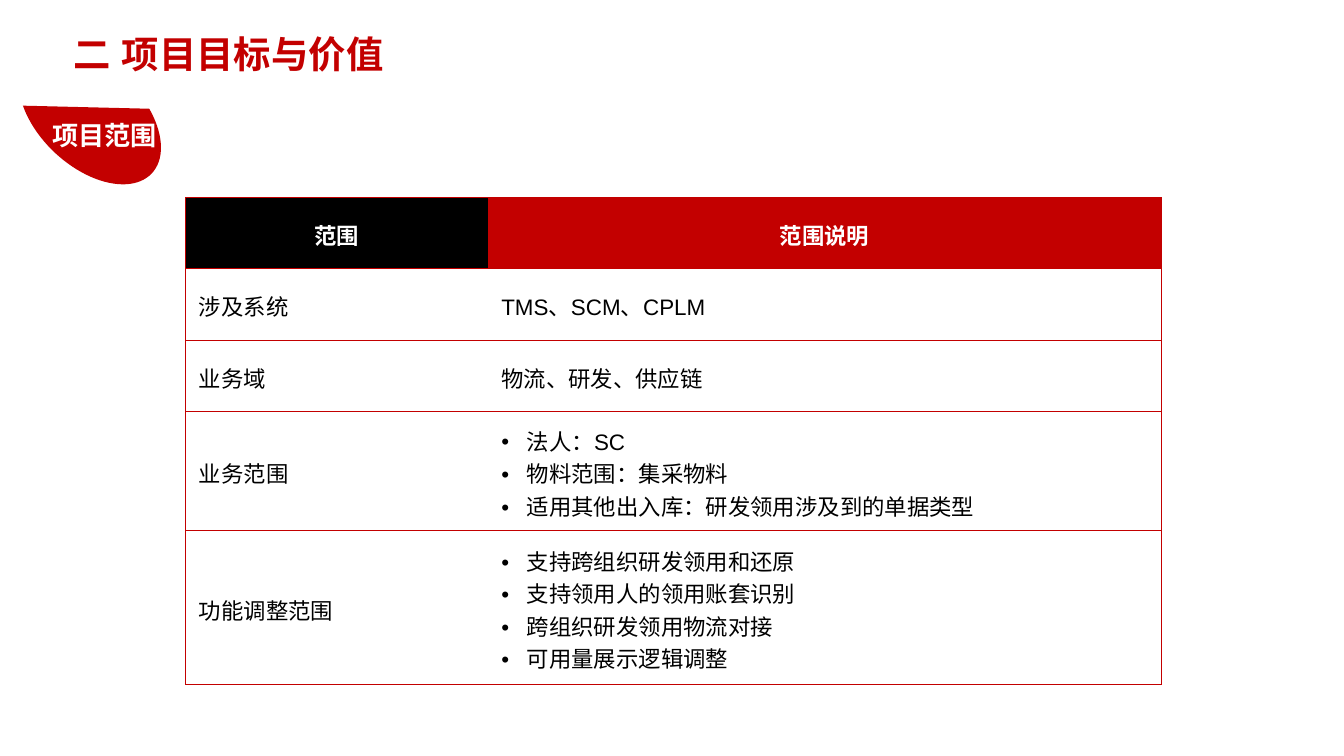
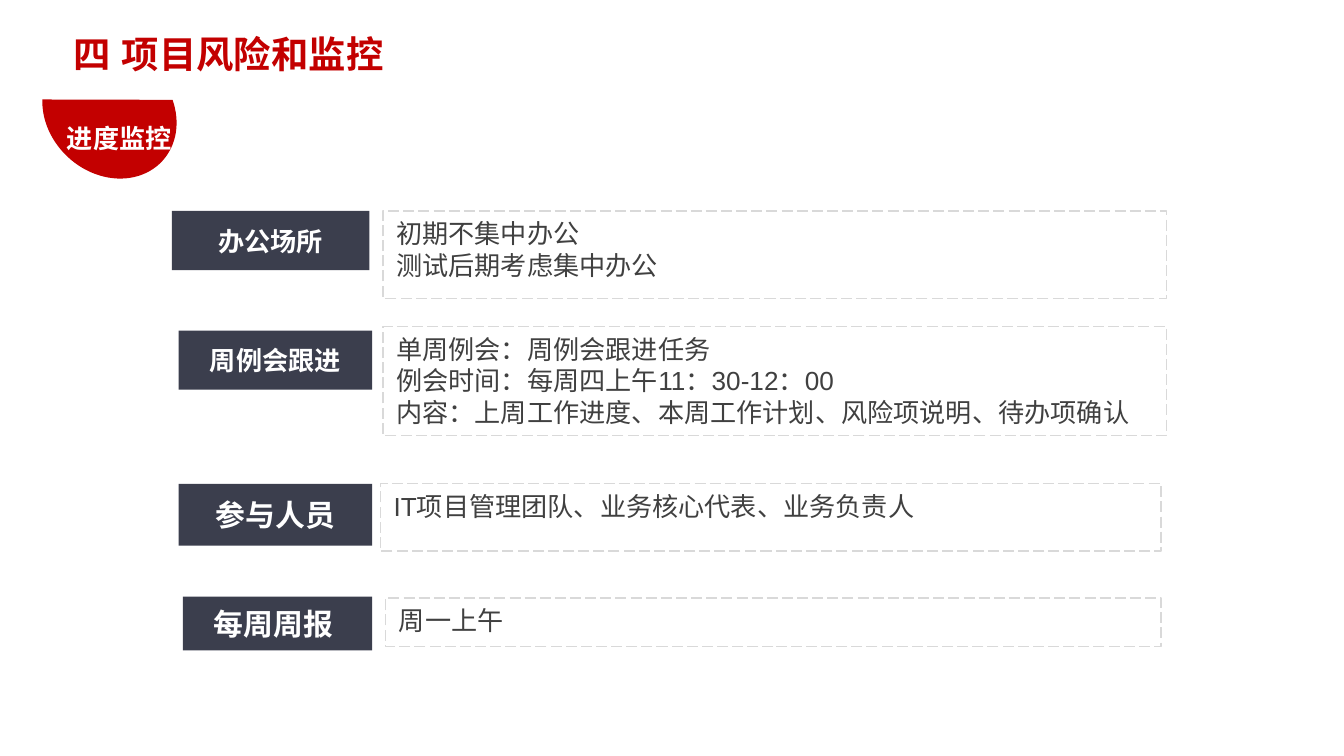
"""Build two project slides: scope table and progress monitoring."""
import pptx
import pptx.util
import pptx.dml.color
import pptx.enum.dml
import pptx.enum.shapes
import pptx.enum.text
import pptx.oxml.ns
from lxml import etree

Inches, Pt = pptx.util.Inches, pptx.util.Pt
ALIGN, ANCHOR = pptx.enum.text.PP_ALIGN, pptx.enum.text.MSO_ANCHOR
SHAPE = pptx.enum.shapes.MSO_SHAPE
qn = pptx.oxml.ns.qn

FONT = "Arial"
C = dict(red="C30000", black="000000", white="FFFFFF", slate="3B3E4D",
         text="404040", dash="D9D9D9")

SCOPE = dict(
    title="二 项目目标与价值",
    badge=dict(text="项目范围", chord=(0.29, 0.23, 0.76, 1.26),
               angles=(24.26, 141.25), label=(0.29, 0.84, 1.12, 0.34)),
)
TABLE_BOX = (1.38, 1.47, 7.26, 3.61)
COL_WIDTHS = (2.25, 5.01)
ROW_HEIGHTS = (0.53, 0.53, 0.53, 0.89, 1.14)
ROWS = [
    ("范围", ["范围说明"]),
    ("涉及系统", ["TMS、SCM、CPLM"]),
    ("业务域", ["物流、研发、供应链"]),
    ("业务范围", ["法人：SC", "物料范围：集采物料", "适用其他出入库：研发领用涉及到的单据类型"]),
    ("功能调整范围", ["支持跨组织研发领用和还原", "支持领用人的领用账套识别",
                "跨组织研发领用物流对接", "可用量展示逻辑调整"]),
]

MONITOR = dict(
    title="四 项目风险和监控",
    badge=dict(text="进度监控", chord=(0.36, 0.3, 0.91, 1.07),
               angles=(21.54, 142.64), label=(0.4, 0.86, 1.24, 0.41)),
)
ITEMS = [
    ("办公场所", 14, (1.28, 1.57, 1.47, 0.44), (2.85, 1.57, 5.83, 0.65),
     ["初期不集中办公", "测试后期考虑集中办公"]),
    ("周例会跟进", 14, (1.33, 2.46, 1.44, 0.44), (2.85, 2.43, 5.83, 0.81),
     ["单周例会：周例会跟进任务", "例会时间：每周四上午11：30-12：00",
      "内容：上周工作进度、本周工作计划、风险项说明、待办项确认"]),
    ("参与人员", 16, (1.33, 3.6, 1.44, 0.46), (2.83, 3.6, 5.81, 0.5),
     ["IT项目管理团队、业务核心代表、业务负责人"]),
    ("每周周报 ", 16, (1.36, 4.44, 1.41, 0.4), (2.87, 4.45, 5.77, 0.36), ["周一上午"]),
]


def rgb(name):
    return pptx.dml.color.RGBColor.from_string(C[name])


def box(values):
    return [Inches(v) for v in values]


def write(tf, lines, size, color, bold=False, align=ALIGN.LEFT, anchor=ANCHOR.TOP):
    tf.text = "\n".join(lines)
    tf.word_wrap = True
    tf.vertical_anchor = anchor
    for p in tf.paragraphs:
        p.alignment = align
        for r in p.runs:
            r.font.name, r.font.size, r.font.bold = FONT, Pt(size), bold
            r.font.color.rgb = rgb(color)
            ea = etree.SubElement(r.font._element, qn("a:ea"))
            ea.set("typeface", FONT)


def add_shape(s, kind, at, fill=None):
    sp = s.shapes.add_shape(kind, *box(at))
    sp.shadow.inherit = False
    sp.line.fill.background()
    if fill:
        sp.fill.solid()
        sp.fill.fore_color.rgb = rgb(fill)
    else:
        sp.fill.background()
    return sp


def add_slide(prs, title, badge):
    s = prs.slides.add_slide(prs.slide_layouts[5])
    sp = s.shapes.title
    sp.left, sp.top, sp.width, sp.height = box((0.45, 0.18, 7.26, 0.59))
    write(sp.text_frame, [title], 20, "red", bold=True)
    sp.text_frame.auto_size = pptx.enum.text.MSO_AUTO_SIZE.NONE
    chord = add_shape(s, SHAPE.CHORD, badge["chord"], "red")
    chord.rotation = 313
    for i, angle in enumerate(badge["angles"]):
        chord.adjustments[i] = angle
    label = s.shapes.add_textbox(*box(badge["label"]))
    write(label.text_frame, [badge["text"]], 14, "white", bold=True)
    return s


def set_borders(cell, shown):
    tcPr = cell._tc.get_or_add_tcPr()
    for i, side in enumerate(("lnL", "lnR", "lnT", "lnB")):
        ln = etree.Element(qn("a:" + side), w=str(Pt(0.5)))
        if side in shown:
            fill = etree.SubElement(ln, qn("a:solidFill"))
            etree.SubElement(fill, qn("a:srgbClr"), val=C["red"])
        else:
            etree.SubElement(ln, qn("a:noFill"))
        tcPr.insert(i, ln)


def add_bullet(p):
    pPr = p._p.get_or_add_pPr()
    pPr.set("marL", str(Inches(0.19)))
    pPr.set("indent", str(-Inches(0.19)))
    etree.SubElement(pPr, qn("a:buFont"), typeface=FONT)
    etree.SubElement(pPr, qn("a:buChar"), char="•")


def add_scope_table(s):
    table = s.shapes.add_table(len(ROWS), len(COL_WIDTHS), *box(TABLE_BOX)).table
    for col, width in zip(table.columns, COL_WIDTHS):
        col.width = Inches(width)
    for row, height in zip(table.rows, ROW_HEIGHTS):
        row.height = Inches(height)
    for i, (name, notes) in enumerate(ROWS):
        header = i == 0
        for j, lines in enumerate(([name], notes)):
            cell = table.cell(i, j)
            write(cell.text_frame, lines, 12, "white" if header else "black", header,
                  ALIGN.CENTER if header else ALIGN.LEFT)
            cell.vertical_anchor = ANCHOR.MIDDLE
            cell.fill.solid()
            cell.fill.fore_color.rgb = rgb(("black", "red")[j] if header else "white")
            set_borders(cell, ("lnT", "lnB", ("lnL", "lnR")[j]))
            for p in cell.text_frame.paragraphs:
                p.line_spacing = 1.3
                if len(lines) > 1:
                    add_bullet(p)


def add_item(s, name, size, name_at, note_at, lines):
    sp = add_shape(s, SHAPE.RECTANGLE, name_at, "slate")
    write(sp.text_frame, [name], size, "white", True, ALIGN.CENTER, ANCHOR.MIDDLE)
    sp = add_shape(s, SHAPE.RECTANGLE, note_at)
    sp.line.color.rgb = rgb("dash")
    sp.line.width = Pt(0.75)
    sp.line.dash_style = pptx.enum.dml.MSO_LINE.LONG_DASH
    write(sp.text_frame, lines, 14, "text")


def main():
    prs = pptx.Presentation()
    prs.slide_width = Inches(10)
    prs.slide_height = prs.slide_width * 9 // 16
    add_scope_table(add_slide(prs, **SCOPE))
    s = add_slide(prs, **MONITOR)
    for item in ITEMS:
        add_item(s, *item)
    prs.save("out.pptx")


if __name__ == "__main__":
    main()
